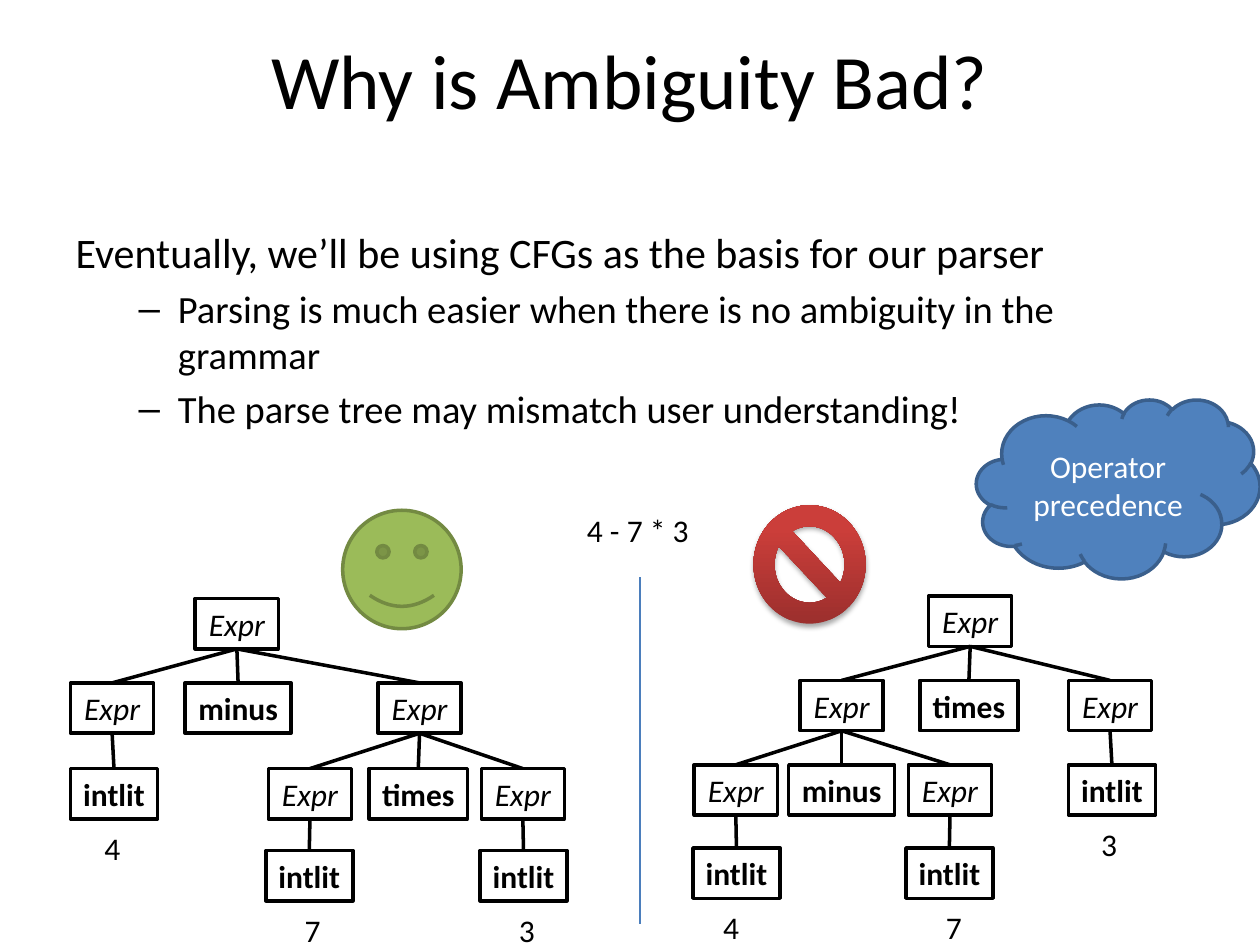
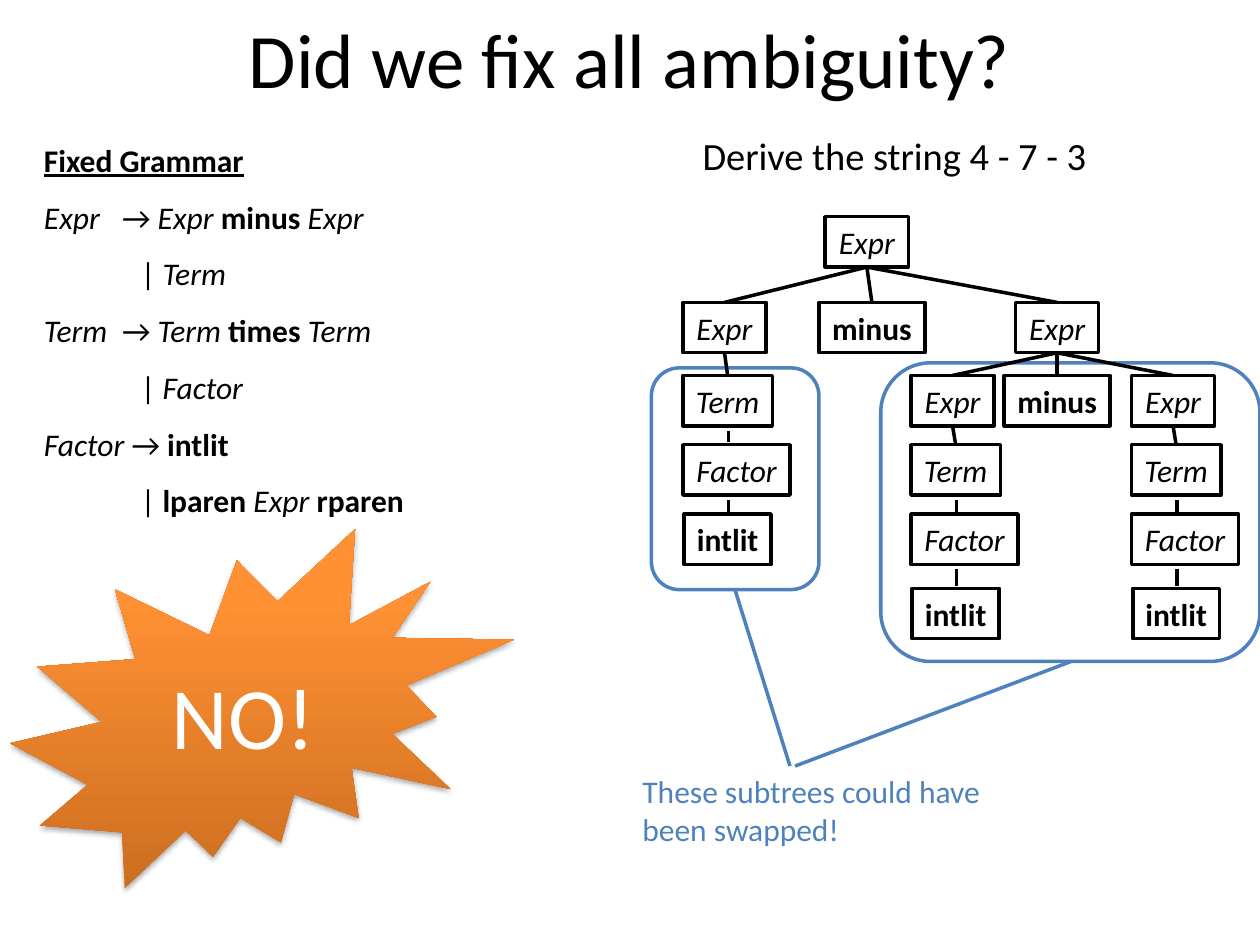
"""Two slides on grammar ambiguity, with parse trees drawn from nested tuples."""
from lxml.etree import SubElement
from pptx import Presentation
from pptx.dml.color import RGBColor
from pptx.enum.shapes import MSO_CONNECTOR, MSO_SHAPE
from pptx.enum.text import MSO_ANCHOR, PP_ALIGN
from pptx.oxml.ns import qn
from pptx.util import Inches, Pt

FONT = "Calibri"
COLORS = {
    "ink": "000000", "paper": "FFFFFF", "blue": "4F81BD", "navy": "3A5F8C",
    "rule": "4B7EBC", "green": "9BBB59", "olive": "738A42",
    "red": "CB3E3A", "maroon": "9C2F2D", "orange": "FF9034", "rust": "CC6E20",
}
WIDTHS = {"Expr": 0.66, "Term": 0.71, "Factor": 0.85,
          "minus": 0.84, "times": 0.78, "intlit": 0.69}
RULES = {"Expr", "Term", "Factor"}
HIGH = 0.4
DROP = 0.43

BAD = {
    "title": "Why is Ambiguity Bad?",
    "body": [
        (0, 24, "Eventually, we’ll be using CFGs as the basis for our parser"),
        (1, 22, "Parsing is much easier when there is no ambiguity in the grammar"),
        (1, 22, "The parse tree may mismatch user understanding!"),
    ],
}
GOOD_TREE = ("Expr", 1.55,
             ("Expr", 0.56, ("intlit", 0.56, ("4", 0.73))),
             ("minus", 1.47),
             ("Expr", 3,
              ("Expr", 2.13, ("intlit", 2.11, ("7", 2.32))),
              ("times", 2.93),
              ("Expr", 3.82, ("intlit", 3.81, ("3", 4.02)))))
BAD_TREE = ("Expr", 7.37,
            ("Expr", 6.35,
             ("Expr", 5.51, ("intlit", 5.5, ("4", 5.64))),
             ("minus", 6.26),
             ("Expr", 7.21, ("intlit", 7.19, ("7", 7.41)))),
            ("times", 7.3),
            ("Expr", 8.48, ("intlit", 8.48, ("3", 8.64))))
GOOD_ROWS = [4.75, 5.42, 6.1, 6.75]
BAD_ROWS = [4.73, 5.4, 6.07, 6.73]


def chain(x):
    return ("Expr", x, ("Term", x, ("Factor", x, ("intlit", x + 0.01))))


FIX = {
    "title": "Did we fix all ambiguity?",
    "head": "Fixed Grammar",
    "grammar": ["Expr\t→ Expr minus Expr", "| Term",
                "Term\t→ Term times Term", "| Factor",
                "Factor → intlit", "| lparen Expr rparen"],
}
SWAP_TREE = ("Expr", 6.55, chain(5.42), ("minus", 6.5),
             ("Expr", 8.06, chain(7.23), ("minus", 7.97), chain(8.98)))
SWAP_ROWS = [1.72, 2.4, 2.98, 3.53, 4.08, 4.67]
GROUPS = [(6.99, 2.88, 3.01, 2.37), (5.17, 2.92, 1.33, 1.76)]
LINKS = [((5.83, 4.67), (6.27, 6.08)), ((6.31, 6.08), (8.5, 5.25))]


def rgb(name):
    return RGBColor.from_string(COLORS[name])


def style(font, size, color="ink"):
    font.name, font.size = FONT, Pt(size)
    font.color.rgb = rgb(color)


def mark(font, word):
    font.italic = word in RULES
    font.bold = word.isalpha() and word not in RULES


def place(shape, at):
    shape.left, shape.top, shape.width, shape.height = map(Inches, at)


def title(slide, text, top):
    place(slide.shapes.title, (0.5, top, 9, 1.25))
    frame = slide.shapes.title.text_frame
    frame.text = text
    style(frame.paragraphs[0].font, 44)


def label(slide, at, lines, size=18, color="ink", align=PP_ALIGN.LEFT, wrap=False):
    frame = slide.shapes.add_textbox(*map(Inches, at)).text_frame
    frame.word_wrap = wrap
    frame.text = "\n".join(lines)
    for para in frame.paragraphs:
        para.alignment = align
        style(para.font, size, color)
    return frame


def draw(slide, kind, at, fill, line=None, text="", size=18, color="paper"):
    shape = slide.shapes.add_shape(kind, *map(Inches, at))
    shape.shadow.inherit = False
    if isinstance(fill, tuple):
        shape.fill.gradient()
        shape.fill.gradient_angle = 90
        for stop, name, spot in zip(shape.fill.gradient_stops, fill, (0, 0.8)):
            stop.color.rgb, stop.position = rgb(name), spot
        glow = SubElement(shape._element.spPr.find(qn("a:effectLst")), qn("a:outerShdw"),
                          blurRad=str(Pt(3.1)), dist=str(Pt(1.8)), dir="5400000",
                          rotWithShape="0")
        tint = SubElement(glow, qn("a:srgbClr"), val=COLORS["ink"])
        SubElement(tint, qn("a:alpha"), val="35000")
    else:
        shape.fill.solid()
        shape.fill.fore_color.rgb = rgb(fill)
    if line:
        shape.line.color.rgb = rgb(line)
        shape.line.width = Pt(2)
    else:
        shape.line.fill.background()
    if text:
        frame = shape.text_frame
        frame.text = text
        frame.vertical_anchor = MSO_ANCHOR.MIDDLE
        frame.paragraphs[0].alignment = PP_ALIGN.CENTER
        style(frame.paragraphs[0].font, size, color)
    return shape


def link(slide, start, end, color="ink", width=2):
    ends = map(Inches, (*start, *end))
    line = slide.shapes.add_connector(MSO_CONNECTOR.STRAIGHT, *ends)
    line.line.color.rgb = rgb(color)
    line.line.width = Pt(width)
    SubElement(line._element.spPr, qn("a:effectLst"))


def tree(slide, node, rows, depth=0):
    word, x, *kids = node
    top, wide = rows[depth], WIDTHS[word]
    box = draw(slide, MSO_SHAPE.RECTANGLE, (x, top, wide, HIGH), "paper", "ink",
               word, color="ink")
    box.text_frame.word_wrap = False
    mark(box.text_frame.paragraphs[0].font, word)
    for kid in kids:
        name, left = kid[:2]
        if name.isdigit():
            label(slide, (left, top + DROP, 0.33, HIGH), [name])
            continue
        below = rows[depth + 1]
        if word in ("Term", "Factor"):
            mid = x + 0.36
            link(slide, (mid, top + HIGH + 0.04), (mid, below - 0.02))
        else:
            link(slide, (x + wide / 2, top + HIGH), (left + WIDTHS[name] / 2, below))
        tree(slide, kid, rows, depth + 1)


def grammar(slide):
    frame = label(slide, (0.25, 0.92, 3.25, 3.28), [FIX["head"]], wrap=True)
    head = frame.paragraphs[0]
    head.font.bold = head.font.underline = True
    head.line_spacing = 1.5
    for text in FIX["grammar"]:
        para = frame.add_paragraph()
        para.line_spacing = 1.5
        style(para.font, 18)
        props = para._p.get_or_add_pPr()
        if text.startswith("|"):
            props.set("marL", str(Inches(0.77)))
        tabs = SubElement(props, qn("a:tabLst"))
        SubElement(tabs, qn("a:tab"), pos=str(Inches(0.62)), algn="l")
        props.append(props.find(qn("a:defRPr")))
        for word in text.replace("\t", " \t ").split(" "):
            run = para.add_run()
            mark(run.font, word)
            run.text = word if word == "\t" or "\t" in text and word == text.split("\t")[0] \
                and para.runs[0].text == "" else word + " "


def bad(deck):
    slide = deck.slides.add_slide(deck.slide_layouts[1])
    title(slide, BAD["title"], 0)
    body = slide.placeholders[1]
    place(body, (0.5, 1.75, 9, 5.08))
    body.text_frame.text = "\n".join(text for _, _, text in BAD["body"])
    for para, (level, size, _) in zip(body.text_frame.paragraphs, BAD["body"]):
        para.level = level
        style(para.font, size)
        if level == 0:
            props = para._p.get_or_add_pPr()
            props.set("marL", "0")
            props.set("indent", "0")
            props.insert(0, props.makeelement(qn("a:buNone"), {}))
    tree(slide, GOOD_TREE, GOOD_ROWS)
    tree(slide, BAD_TREE, BAD_ROWS)
    link(slide, (5.08, 4.58), (5.08, 7.33), "rule", 0.75)
    label(slide, (4.56, 4.01, 1.02, HIGH), ["4 - 7 * 3"])
    draw(slide, MSO_SHAPE.NO_SYMBOL, (5.98, 4.01, 0.89, 0.94), ("maroon", "red"))
    draw(slide, MSO_SHAPE.SMILEY_FACE, (2.72, 4.05, 0.94, 0.94), "green", "olive")
    draw(slide, MSO_SHAPE.CLOUD, (7.75, 3.17, 2.25, 1.42), "blue", "navy",
         "Operator precedence")


def fix(deck):
    slide = deck.slides.add_slide(deck.slide_layouts[5])
    title(slide, FIX["title"], -0.17)
    for at in GROUPS:
        draw(slide, MSO_SHAPE.ROUNDED_RECTANGLE, at, "paper", "blue")
    grammar(slide)
    label(slide, (5.47, 1, 3.26, 0.47), ["Derive the string 4 - 7 - 3"], 22,
          align=PP_ALIGN.CENTER)
    tree(slide, SWAP_TREE, SWAP_ROWS)
    draw(slide, MSO_SHAPE.EXPLOSION2, (0.08, 4.2, 4, 2.85), ("rust", "orange"),
         text="NO!", size=50)
    for start, end in LINKS:
        link(slide, start, end, "blue")
    label(slide, (5, 6.08, 3.01, 0.71),
          ["These subtrees could have", "been swapped!"], color="blue")


def main():
    deck = Presentation()
    deck.slide_width, deck.slide_height = Inches(10), Inches(7.5)
    bad(deck)
    fix(deck)
    deck.save("out.pptx")


if __name__ == "__main__":
    main()
